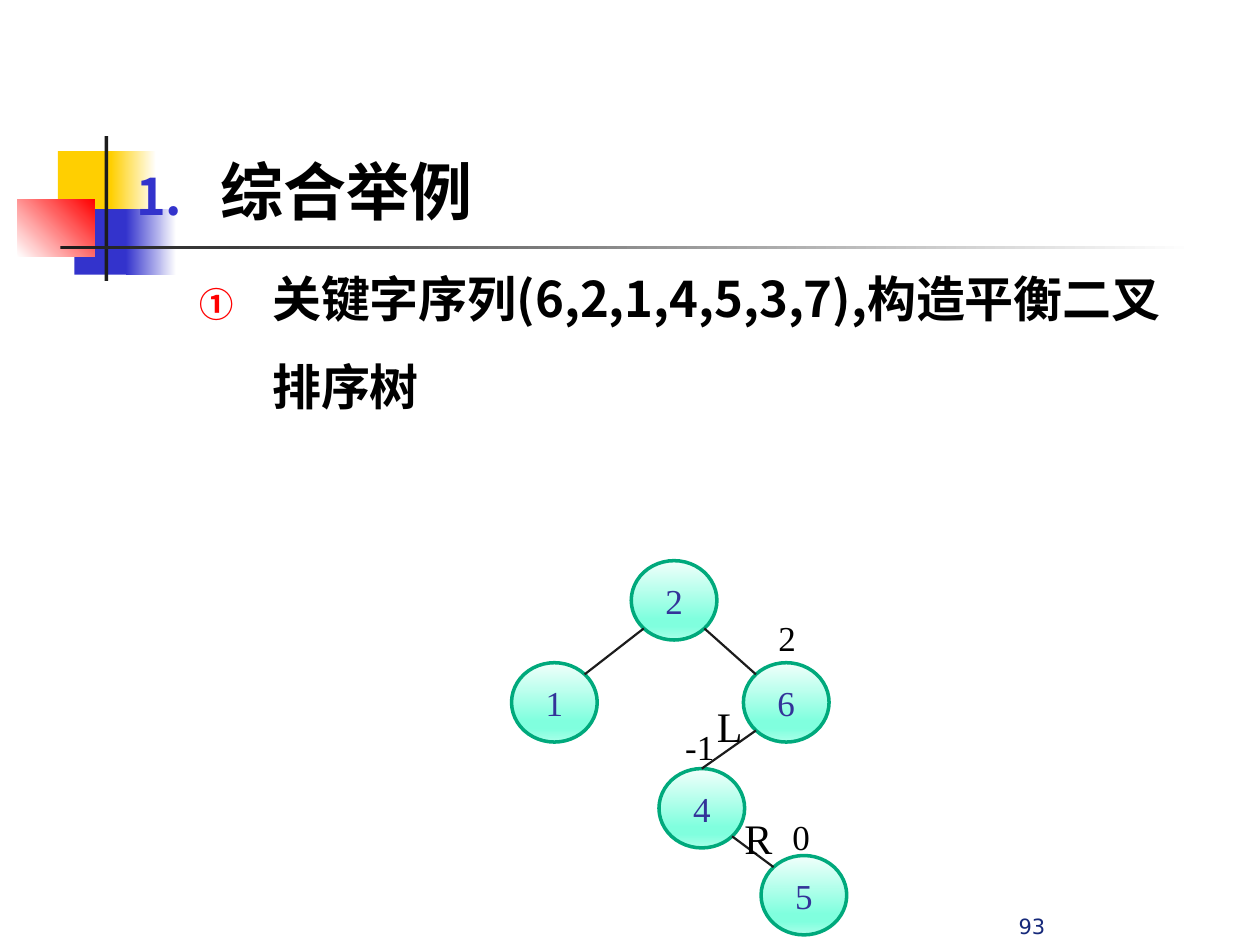
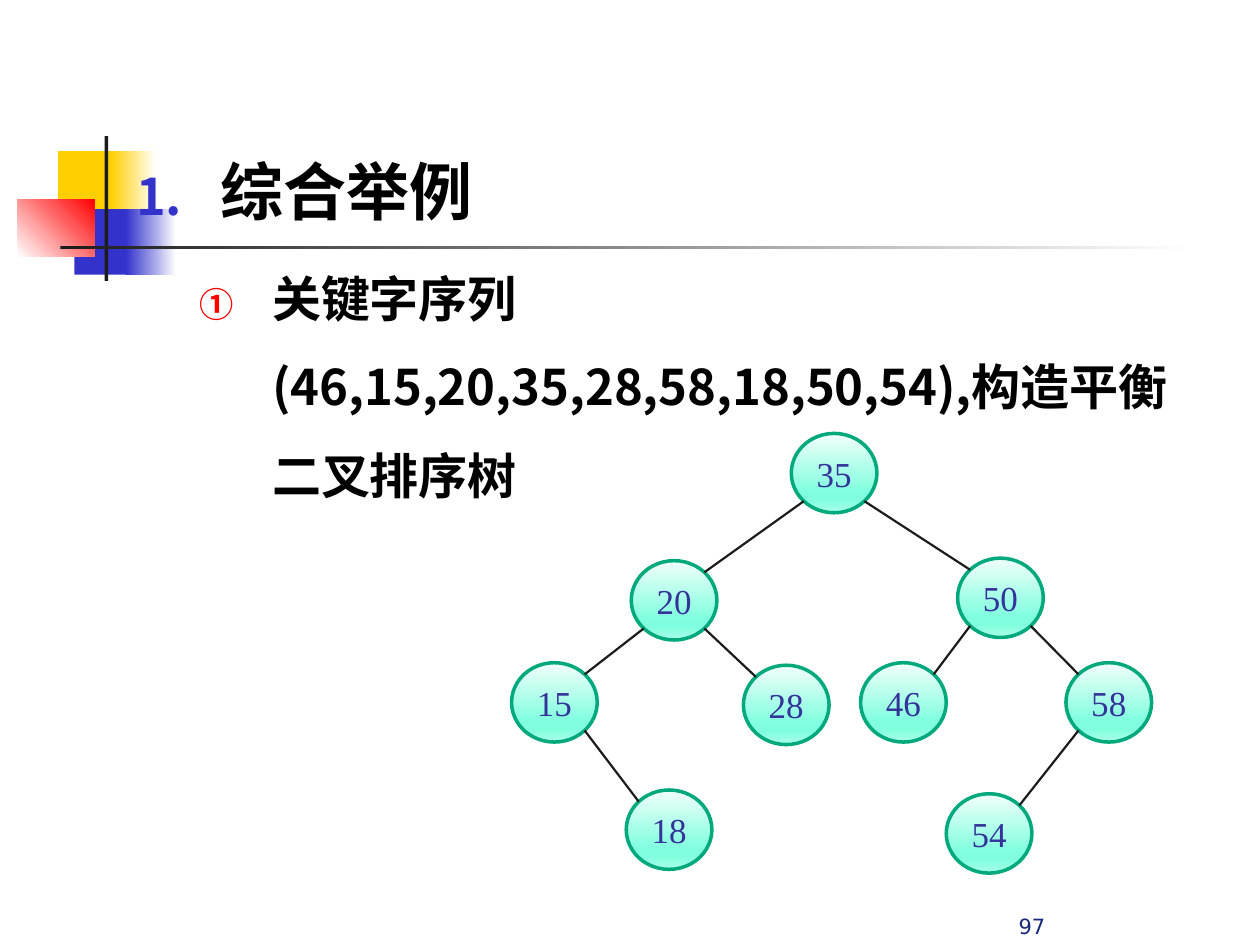
from dataclasses import dataclass
from math import sqrt
from typing import Any, NamedTuple

from pptx import Presentation
from pptx.dml.color import RGBColor
from pptx.enum.shapes import MSO_CONNECTOR, MSO_SHAPE
from pptx.enum.text import MSO_ANCHOR, MSO_AUTO_SIZE, PP_ALIGN
from pptx.oxml import parse_xml
from pptx.oxml.ns import nsdecls, qn
from pptx.util import Inches, Pt

RECT = MSO_SHAPE.RECTANGLE
OVAL = MSO_SHAPE.OVAL
LINE = MSO_CONNECTOR.STRAIGHT
CENTER = PP_ALIGN.CENTER
LEFT = PP_ALIGN.LEFT
MIDDLE = MSO_ANCHOR.MIDDLE
BOTTOM = MSO_ANCHOR.BOTTOM
TOP = MSO_ANCHOR.TOP
FIXED = MSO_AUTO_SIZE.NONE
Stops = tuple[tuple[int, str], ...]


@dataclass(frozen=True)
class Theme:
    black: str = "000000"
    ink: str = "1C1C1C"
    white: str = "FFFFFF"
    gold: str = "FFCF01"
    blue: str = "3333CC"
    red: str = "FF0000"
    rim: str = "00A97C"
    key: str = "333399"
    page: str = "16297A"
    serif: str = "Times New Roman"
    sans: str = "Noto Sans CJK SC"
    mono: str = "DejaVu Sans"
    head: int = 36
    body: int = 28
    turn: int = 24
    node: int = 20
    foot: int = 12
    glow: Stops = ((0, "F1FFFB"), (74, "80FFDE"), (83, "80FFDE"), (100, "AAFFE9"))


THEME = Theme()


class Box(NamedTuple):
    x: float
    y: float
    w: float
    h: float


class Band(NamedTuple):
    box: Box
    stops: Stops
    angle: int = 0


class Bullet(NamedTuple):
    kind: str
    color: str
    scale: int
    margin: float
    hang: float


class Node(NamedTuple):
    key: str
    x: float
    y: float
    root: str = ""
    crown: bool = False


class Label(NamedTuple):
    text: str
    box: Box
    size: int = THEME.node


class Page(NamedTuple):
    number: str
    keys: str
    nodes: tuple[Node, ...]
    labels: tuple[Label, ...] = ()


WIDE, HIGH = 0.68, 0.63
INSET = (1 - 1 / sqrt(2)) / 2

BANDS = (
    Band(Box(0.46, 1.2, 0.48, 0.52), ((0, THEME.gold),)),
    Band(Box(0.88, 1.2, 0.36, 0.52), ((0, THEME.gold), (100, THEME.white))),
    Band(Box(0.59, 1.66, 0.46, 0.52), ((0, THEME.blue),)),
    Band(Box(1, 1.66, 0.4, 0.52), ((0, THEME.blue), (100, THEME.white))),
    Band(Box(0.14, 1.58, 0.61, 0.46), ((0, THEME.white), (100, THEME.red)), 315),
    Band(Box(0.83, 1.08, 0.03, 1.15), ((0, THEME.ink),)),
    Band(Box(0.48, 1.95, 9, 0.03), ((0, THEME.ink), (100, THEME.white))),
)

HEAD = Bullet("arabicPeriod", THEME.blue, 80, 0.67, -0.67)
ITEM = Bullet("circleNumDbPlain", THEME.red, 70, 1.08, -0.58)

PAGES = (
    Page(
        "93",
        "6,2,1,4,5,3,7",
        (
            Node("2", 5.01, 4.45),
            Node("1", 4.06, 5.26, "2"),
            Node("6", 5.9, 5.26, "2"),
            Node("4", 5.23, 6.1, "6", True),
            Node("5", 6.04, 6.79, "4"),
        ),
        (
            Label("2", Box(6.08, 4.84, 0.34, 0.44)),
            Label("-1", Box(5.34, 5.71, 0.44, 0.44)),
            Label("0", Box(6.19, 6.42, 0.34, 0.44)),
            Label("L", Box(5.59, 5.51, 0.41, 0.5), THEME.turn),
            Label("R", Box(5.81, 6.4, 0.43, 0.5), THEME.turn),
        ),
    ),
    Page(
        "97",
        "46,15,20,35,28,58,18,50,54",
        (
            Node("35", 6.28, 3.44),
            Node("20", 5.01, 4.45, "35"),
            Node("50", 7.6, 4.43, "35"),
            Node("15", 4.06, 5.26, "20"),
            Node("28", 5.9, 5.28, "20"),
            Node("46", 6.83, 5.26, "50"),
            Node("58", 8.46, 5.26, "50"),
            Node("18", 4.97, 6.27, "15"),
            Node("54", 7.51, 6.3, "58"),
        ),
    ),
)


def apply(target: Any, values: dict[str, Any]) -> None:
    for name, value in values.items():
        setattr(target, name, value)


def place(box: Box) -> list[int]:
    return [Inches(side) for side in box]


def paint(shape: Any, stops: Stops, angle: int = 0) -> None:
    shape.shadow.inherit = False
    if len(stops) == 1:
        shape.fill.solid()
        shape.fill.fore_color.rgb = RGBColor.from_string(stops[0][1])
        return
    parts = "".join(
        f'<a:gs pos="{spot * 1000}"><a:srgbClr val="{color}"/></a:gs>'
        for spot, color in stops
    )
    fill = parse_xml(
        f'<a:gradFill {nsdecls("a")} rotWithShape="1"><a:gsLst>{parts}</a:gsLst>'
        f'<a:lin ang="{angle * 60000}" scaled="0"/></a:gradFill>'
    )
    shape.element.spPr.find(qn("a:prstGeom")).addnext(fill)


def write(para: Any, text: str, face: str, size: int, color: str, bold: bool = False) -> None:
    run = para.add_run()
    run.text = text
    apply(run.font, {"name": face, "size": Pt(size), "bold": bold})
    run.font.color.rgb = RGBColor.from_string(color)
    east = parse_xml(f'<a:ea {nsdecls("a")} typeface="{THEME.sans}"/>')
    run._r.rPr.find(qn("a:latin")).addnext(east)


def mark(para: Any, bullet: Bullet) -> None:
    props = para._p.get_or_add_pPr()
    props.set("marL", str(Inches(bullet.margin)))
    props.set("indent", str(Inches(bullet.hang)))
    for part in (
        f'<a:buClr {nsdecls("a")}><a:srgbClr val="{bullet.color}"/></a:buClr>',
        f'<a:buSzPct {nsdecls("a")} val="{bullet.scale * 1000}"/>',
        f'<a:buFont {nsdecls("a")} typeface="{THEME.sans}"/>',
        f'<a:buAutoNum {nsdecls("a")} type="{bullet.kind}"/>',
    ):
        props.append(parse_xml(part))


def frame(slide: Any, deck: tuple[Band, ...]) -> None:
    tree = slide.slide_layout.shapes.element
    for rank, band in enumerate(deck):
        shape = slide.shapes.add_shape(RECT, *place(band.box))
        paint(shape, band.stops, band.angle)
        shape.line.fill.background()
        shape.element.nvSpPr.cNvPr.set("id", str(100 + rank))
        tree.insert(2 + rank, shape.element)


def fill_body(slide: Any, keys: str) -> None:
    title = slide.shapes.title.element
    title.getparent().remove(title)
    body = slide.placeholders[1]
    left, top, width, height = place(Box(0.98, 1.23, 8.5, 4.5))
    apply(body, {"left": left, "top": top, "width": width, "height": height})
    text = body.text_frame
    apply(text, {"auto_size": FIXED, "word_wrap": True})
    head, item = text.paragraphs[0], text.add_paragraph()
    apply(head, {"line_spacing": 0.9, "space_before": Pt(0)})
    apply(item, {"level": 1, "line_spacing": 1.5})
    mark(head, HEAD)
    mark(item, ITEM)
    write(head, "综合举例", THEME.serif, THEME.head, THEME.black, True)
    line = f"关键字序列({keys}),构造平衡二叉排序树"
    write(item, line, THEME.sans, THEME.body, THEME.black, True)


def add_text(
    slide: Any, text: str, box: Box, face: str, size: int, color: str,
    align: Any = LEFT, anchor: Any = TOP, wrap: bool = False,
) -> None:
    area = slide.shapes.add_textbox(*place(box)).text_frame
    apply(area, {"word_wrap": wrap, "vertical_anchor": anchor})
    area.paragraphs[0].alignment = align
    write(area.paragraphs[0], text, face, size, color)


def add_node(slide: Any, node: Node) -> None:
    shape = slide.shapes.add_shape(OVAL, *place(Box(node.x, node.y, WIDE, HIGH)))
    paint(shape, THEME.glow, 90)
    shape.line.color.rgb = RGBColor.from_string(THEME.rim)
    shape.line.width = Pt(2)
    shape.text_frame.vertical_anchor = MIDDLE
    para = shape.text_frame.paragraphs[0]
    para.alignment = CENTER
    write(para, node.key, THEME.serif, THEME.node, THEME.key)


def add_edge(slide: Any, root: Node, node: Node) -> None:
    near, far = INSET * WIDE, (1 - INSET) * WIDE
    start, end = (near, far) if node.x < root.x else (far, near)
    drop = INSET * HIGH
    if node.crown:
        end, drop = WIDE / 2, 0
    ends = (root.x + start, root.y + (1 - INSET) * HIGH, node.x + end, node.y + drop)
    edge = slide.shapes.add_connector(LINE, *[Inches(spot) for spot in ends])
    edge.line.color.rgb = RGBColor.from_string(THEME.ink)
    edge.line.width = Pt(1.25)
    edge._element.spPr.append(parse_xml(f'<a:effectLst {nsdecls("a")}/>'))


def draw(slide: Any, page: Page) -> None:
    fill_body(slide, page.keys)
    foot = Box(6.38, 7.26, 3.62, 0.24)
    add_text(slide, page.number, foot, THEME.mono, THEME.foot, THEME.page, CENTER, BOTTOM, True)
    tree = {node.key: node for node in page.nodes}
    for node in page.nodes:
        add_node(slide, node)
    for node in page.nodes:
        if node.root:
            add_edge(slide, tree[node.root], node)
    for label in page.labels:
        add_text(slide, label.text, label.box, THEME.serif, label.size, THEME.black)


def main() -> None:
    deck = Presentation()
    apply(deck, {"slide_width": Inches(10), "slide_height": Inches(7.5)})
    layout = deck.slide_layouts[1]
    slides = [deck.slides.add_slide(layout) for _ in PAGES]
    frame(slides[0], BANDS)
    for slide, page in zip(slides, PAGES):
        draw(slide, page)
    deck.save("out.pptx")


if __name__ == "__main__":
    main()
